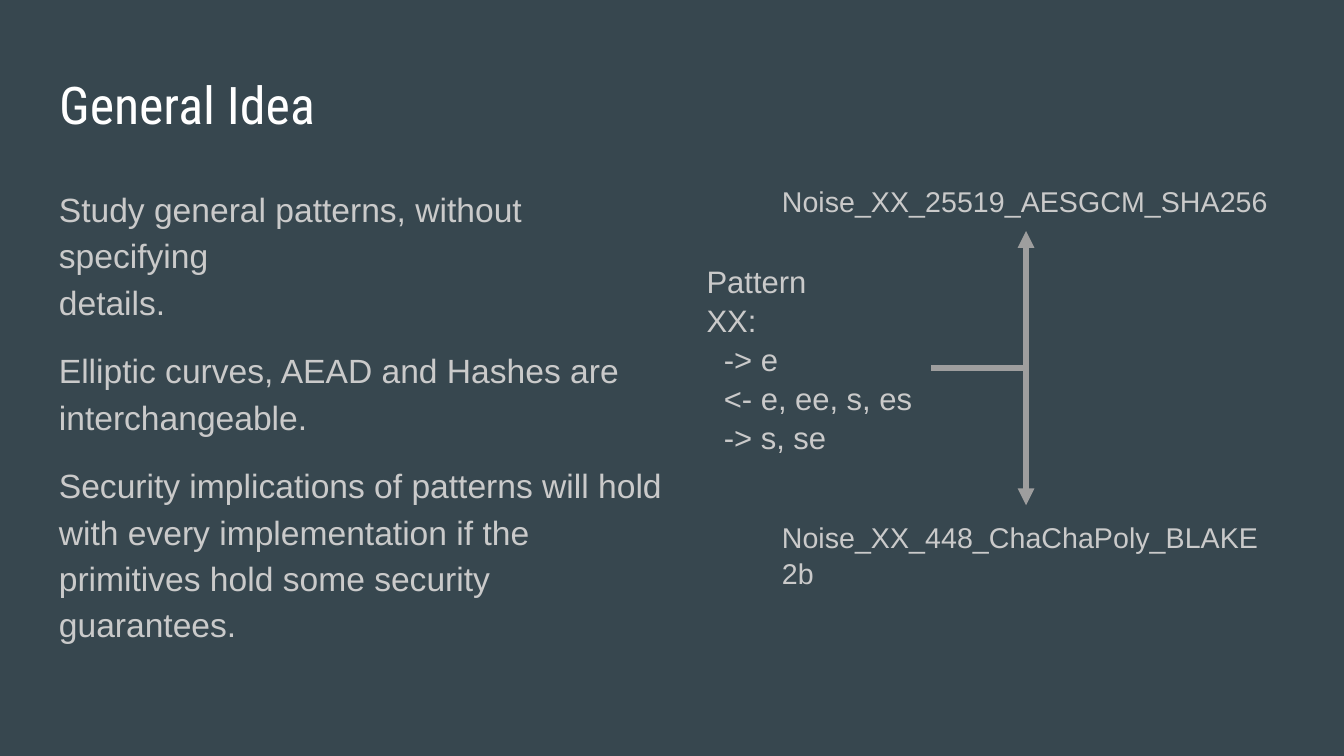
from pptx import Presentation
from pptx.dml.color import RGBColor
from pptx.enum.shapes import MSO_CONNECTOR
from pptx.enum.text import MSO_ANCHOR, MSO_AUTO_SIZE, PP_ALIGN
from pptx.oxml.ns import qn
from pptx.util import Pt
from lxml import etree

COLORS = {"bg": "37474F", "title": "FFFFFF", "text": "CACACA", "line": "9E9E9E"}


def rgb(name):
    return RGBColor.from_string(COLORS[name])


def fill_text(sp, paragraphs, font, size, color, spacing, gap=0):
    tf = sp.text_frame
    frame = {"word_wrap": True, "auto_size": MSO_AUTO_SIZE.NONE,
             "vertical_anchor": MSO_ANCHOR.TOP}
    for side in ("left", "top", "right", "bottom"):
        frame[f"margin_{side}"] = Pt(7.2)
    for key, value in frame.items():
        setattr(tf, key, value)
    for i, text in enumerate(paragraphs):
        p = tf.add_paragraph() if i else tf.paragraphs[0]
        p.text = text
        para = {"alignment": PP_ALIGN.LEFT, "line_spacing": spacing,
                "space_before": Pt(gap if i else 0)}
        for key, value in para.items():
            setattr(p, key, value)
        for r in p.runs:
            r.font.name = font
            r.font.size = Pt(size)
            r.font.color.rgb = rgb(color)


prs = Presentation()
prs.slide_width, prs.slide_height = Pt(720), Pt(405)
s = prs.slides.add_slide(prs.slide_layouts[5])
s.background.fill.solid()
s.background.fill.fore_color.rgb = rgb("bg")

title = s.shapes.title
place = {"left": 24.5, "top": 35.3, "width": 671, "height": 45.4}
for key, value in place.items():
    setattr(title, key, Pt(value))
fill_text(title, ["General Idea"], "Roboto Condensed", 27.8, "title", 0.9)

points = [
    "Study general patterns, without specifying\vdetails.",
    "Elliptic curves, AEAD and Hashes are interchangeable.",
    "Security implications of patterns will hold with every implementation "
    "if the primitives hold some security guarantees.",
]
pattern = "Pattern\vXX:\v  -> e\v  <- e, ee, s, es\v  -> s, se"
boxes = [
    ((24.5, 90.7, 343.4, 269.3), points, 18, 1.15),
    ((371.5, 132.5, 127.4, 129.6), [pattern], 16.6, 1.05),
    ((411.8, 90.7, 275.8, 33.1), ["Noise_XX_25519_AESGCM_SHA256"], 15.3, 1.05),
    ((411.8, 270.7, 275.8, 33.1), ["Noise_XX_448_ChaChaPoly_BLAKE2b"], 15.3, 1.05),
]
for box, paragraphs, size, spacing in boxes:
    sp = s.shapes.add_textbox(*map(Pt, box))
    fill_text(sp, paragraphs, "Arial", size, "text", spacing, gap=12)

start_x, start_y, end_x, reach = 498.9, 197.25, 549.7, 73.45
for end_y in (start_y - reach, start_y + reach):
    arrow = s.shapes.add_connector(
        MSO_CONNECTOR.ELBOW, Pt(start_x), Pt(start_y), Pt(end_x), Pt(end_y))
    arrow.line.color.rgb = rgb("line")
    arrow.line.width = Pt(3)
    sp_pr = arrow.element.spPr
    sp_pr.find(qn("a:prstGeom")).set("prst", "bentConnector2")
    etree.SubElement(arrow.line._get_or_add_ln(), qn("a:tailEnd"), type="triangle")
    etree.SubElement(sp_pr, qn("a:effectLst"))

prs.save("out.pptx")
